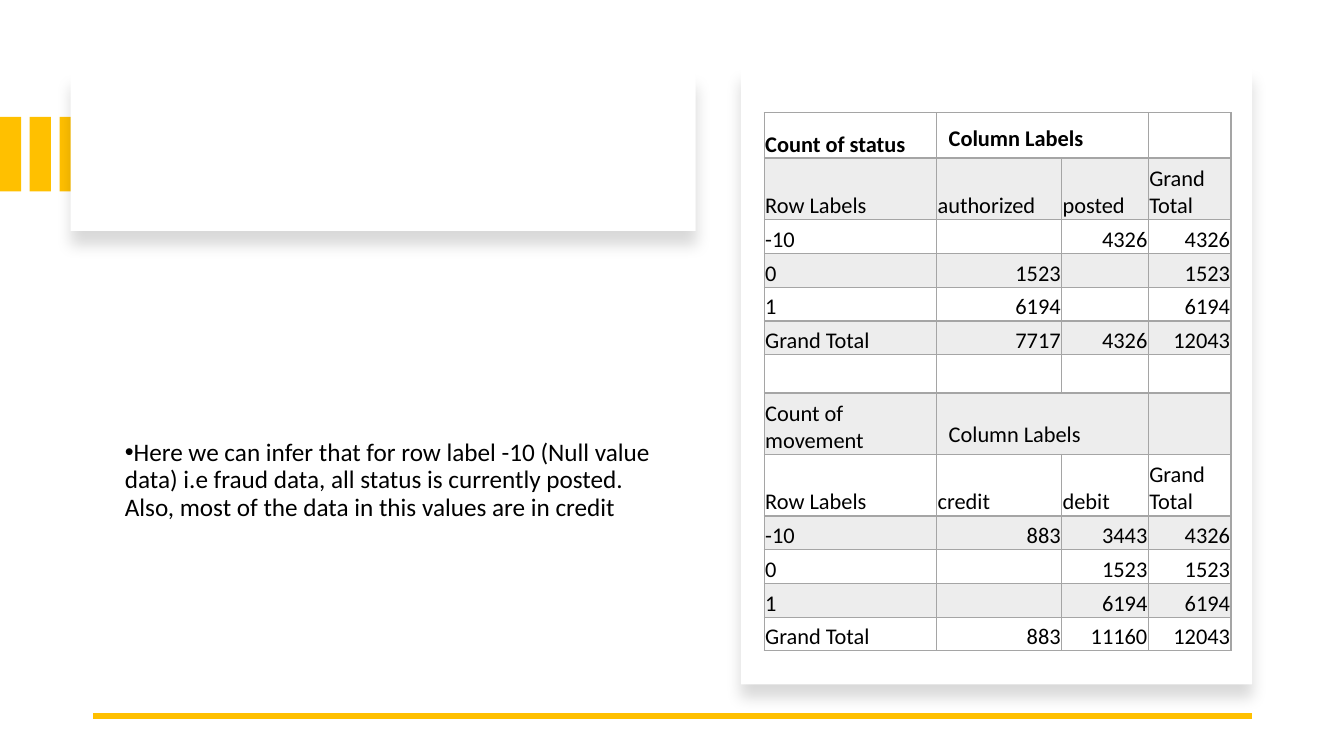
"""Build the fraud data slide with its two pivot tables and the inference note."""
from dataclasses import dataclass

import pptx
import pptx.dml.color
import pptx.enum.shapes
import pptx.enum.text
import pptx.oxml
import pptx.oxml.ns
import pptx.util
from pptx.util import Inches

NS = pptx.oxml.ns.nsdecls("a")
RGB = pptx.dml.color.RGBColor.from_string
ANCHOR = pptx.enum.text.MSO_ANCHOR
ALIGN = pptx.enum.text.PP_ALIGN


@dataclass(frozen=True)
class Theme:
    font: str = "Calibri"
    text: str = "000000"
    accent: str = "FFC000"
    card: str = "FFFFFF"
    grid: str = "A5A5A5"
    band_alpha: int = 20000
    body_size: int = 18
    table_size: int = 16
    rule_width: float = 4.5


@dataclass(frozen=True)
class Box:
    left: float
    top: float
    width: float
    height: float
    fill: str
    shadow: bool = False

    def place(self) -> tuple:
        return tuple(map(Inches, (self.left, self.top, self.width, self.height)))


T = Theme()
STRIPES = [Box(i * 0.295, 1.16, 0.21, 0.74, T.accent) for i in range(3)]
TITLE_CARD = Box(0.7, 0.72, 6.2, 1.57, T.card, True)
TABLE_CARD = Box(7.35, 0.67, 5.07, 6.12, T.card, True)
NOTE = ("Here we can infer that for row label -10 (Null value data) i.e fraud data, "
        "all status is currently posted. Also, most of the data in this values are in credit")
COLUMNS = [1.71, 1.24, 0.86, 0.82]
PIVOT_ROWS = [
    ["Count of status", "Column Labels", "", ""],
    ["Row Labels", "authorized", "posted", "Grand Total"],
    ["-10", "", "4326", "4326"],
    ["0", "1523", "", "1523"],
    ["1", "6194", "", "6194"],
    ["Grand Total", "7717", "4326", "12043"],
    ["", "", "", ""],
    ["Count of movement", "Column Labels", "", ""],
    ["Row Labels", "credit", "debit", "Grand Total"],
    ["-10", "883", "3443", "4326"],
    ["0", "", "1523", "1523"],
    ["1", "", "6194", "6194"],
    ["Grand Total", "883", "11160", "12043"],
]
ROW_HEIGHTS = {0: 0.45, 1: 0.61, 6: 0.38, 7: 0.61, 8: 0.61}
SHADOW = (f'<a:effectLst {NS}><a:outerShdw blurRad="{pptx.util.Pt(11)}" '
          f'dist="{pptx.util.Pt(10)}" dir="5400000" algn="t" rotWithShape="0">'
          '<a:srgbClr val="000000"><a:alpha val="15000"/></a:srgbClr>'
          '</a:outerShdw></a:effectLst>')


def style_run(r, size: int, bold: bool = False) -> None:
    r.font.name = T.font
    r.font.size = pptx.util.Pt(size)
    r.font.bold = bold
    r.font.color.rgb = RGB(T.text)


def add_box(s, box: Box) -> None:
    sp = s.shapes.add_shape(pptx.enum.shapes.MSO_SHAPE.RECTANGLE, *box.place())
    sp.fill.solid()
    sp.fill.fore_color.rgb = RGB(box.fill)
    sp.line.fill.background()
    sp.shadow.inherit = False
    if box.shadow:
        effects = sp._element.spPr.find(pptx.oxml.ns.qn("a:effectLst"))
        effects.getparent().replace(effects, pptx.oxml.parse_xml(SHADOW))


def add_note(s) -> None:
    sp = s.shapes.add_textbox(Inches(1.14), Inches(2.76), Inches(5.46), Inches(4.02))
    tf = sp.text_frame
    tf.word_wrap = True
    tf.vertical_anchor = ANCHOR.MIDDLE
    tf.text = NOTE
    p = tf.paragraphs[0]
    p.line_spacing = 0.9
    p.space_after = pptx.util.Pt(6)
    pPr = p._p.get_or_add_pPr()
    pPr.set("marL", "0")
    pPr.set("indent", str(Inches(-0.25)))
    pPr.append(pptx.oxml.parse_xml(f'<a:buFont {NS} typeface="Arial"/>'))
    pPr.append(pptx.oxml.parse_xml(f'<a:buChar {NS} char="•"/>'))
    style_run(p.runs[0], T.body_size)


def add_rule(s) -> None:
    line = s.shapes.add_connector(pptx.enum.shapes.MSO_CONNECTOR.STRAIGHT,
                                  Inches(12.42), Inches(7.1), Inches(0.92), Inches(7.1))
    line.line.color.rgb = RGB(T.accent)
    line.line.width = pptx.util.Pt(T.rule_width)
    line._element.spPr.append(pptx.oxml.parse_xml(f"<a:effectLst {NS}/>"))


def set_borders(cell, top: int, bottom: int) -> None:
    tcPr = cell._tc.get_or_add_tcPr()
    widths = {"lnL": 1, "lnR": 1, "lnT": top, "lnB": bottom}
    for i, (side, width) in enumerate(widths.items()):
        tcPr.insert(i, pptx.oxml.parse_xml(
            f'<a:{side} {NS} w="{pptx.util.Pt(width)}"><a:solidFill>'
            f'<a:srgbClr val="{T.grid}"/></a:solidFill></a:{side}>'))


def fill_band(cell) -> None:
    cell.fill.solid()
    cell.fill.fore_color.rgb = RGB(T.grid)
    color = next(cell._tc.tcPr.iter(pptx.oxml.ns.qn("a:srgbClr")))
    color.append(pptx.oxml.parse_xml(f'<a:alpha {NS} val="{T.band_alpha}"/>'))


def format_cell(cell, text: str, row: int, col: int) -> None:
    side, top, bottom = (0.12, 0.06, 0.06) if text == "Column Labels" else (0.01, 0.01, 0)
    cell.margin_left = cell.margin_right = Inches(side)
    cell.margin_top, cell.margin_bottom = Inches(top), Inches(bottom)
    cell.vertical_anchor = ANCHOR.BOTTOM
    cell.text = text
    p = cell.text_frame.paragraphs[0]
    if col and text.isdigit():
        p.alignment = ALIGN.RIGHT
    for r in p.runs:
        style_run(r, T.table_size, bold=row == 0)
    if row % 2:
        fill_band(cell)
    else:
        cell.fill.background()
    set_borders(cell, top=2 if row == 1 else 1, bottom=2 if row == 0 else 1)


def add_pivots(s) -> None:
    table = s.shapes.add_table(len(PIVOT_ROWS), len(COLUMNS), Inches(7.58), Inches(1.12),
                               Inches(4.62), Inches(5.33)).table
    table.first_row = table.horz_banding = False
    for column, width in zip(table.columns, COLUMNS):
        column.width = Inches(width)
    for i, values in enumerate(PIVOT_ROWS):
        table.rows[i].height = Inches(ROW_HEIGHTS.get(i, 0.335))
        for j, text in enumerate(values):
            format_cell(table.cell(i, j), text, i, j)
        if values[1] == "Column Labels":
            table.cell(i, 1).merge(table.cell(i, 2))


def main() -> None:
    prs = pptx.Presentation()
    prs.slide_width, prs.slide_height = Inches(13.33), Inches(7.5)
    s = prs.slides.add_slide(prs.slide_layouts[6])
    for box in [*STRIPES, TITLE_CARD]:
        add_box(s, box)
    add_note(s)
    add_box(s, TABLE_CARD)
    add_rule(s)
    add_pivots(s)
    prs.save("out.pptx")


main()
